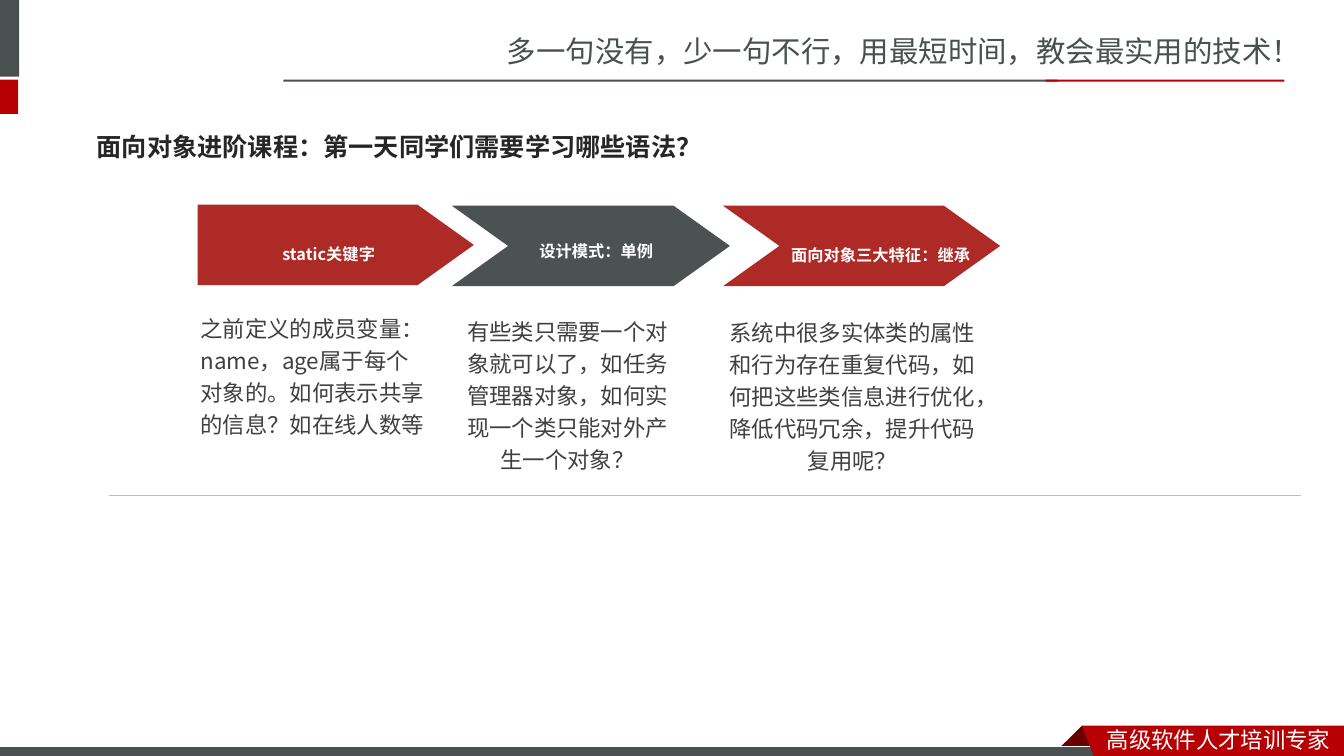
from dataclasses import dataclass

from lxml.etree import SubElement
from pptx import Presentation
from pptx.dml.color import RGBColor as RGB
from pptx.enum.shapes import MSO_CONNECTOR as CONN, MSO_SHAPE as SHAPE
from pptx.enum.text import MSO_ANCHOR as ANCHOR, MSO_AUTO_SIZE as FIT, PP_ALIGN as ALIGN
from pptx.oxml.ns import qn
from pptx.util import Pt

PX = 9144
ARROW_H, ARROW_HEAD = 80, 56


@dataclass(frozen=True)
class Theme:
    """Colours, fonts and type sizes of the slide."""
    slate: str = "49504F"
    red: str = "B60004"
    fold: str = "680000"
    brick: str = "AD2A26"
    graphite: str = "4C5252"
    white: str = "FFFFFF"
    ink: str = "262626"
    body: str = "404040"
    rule: str = "BFBFBF"
    sans: str = "Noto Sans CJK SC"
    content: str = "Noto Sans CJK JP"
    mono: str = "Courier New"
    slogan_pt: int = 21
    label_pt: int = 20
    heading_pt: int = 18
    body_pt: int = 16


T = Theme()


def px(*lengths):
    """Turn px lengths into EMU."""
    return [n * PX for n in lengths]


def paint(sp, fill, line=None):
    """Give a shape a flat fill, an optional outline and no shadow."""
    sp.shadow.inherit = False
    sp.fill.solid()
    sp.fill.fore_color.rgb = RGB.from_string(fill)
    if line:
        sp.line.color.rgb = RGB.from_string(line)
        sp.line.width = Pt(0.75)
    else:
        sp.line.fill.background()


def add_bar(s, box, fill, line=None):
    """Add a plain rectangle."""
    paint(s.shapes.add_shape(SHAPE.RECTANGLE, *px(*box)), fill, line)


def add_outline(s, points, fill):
    """Add a filled polygon through the given points."""
    builder = s.shapes.build_freeform(*points[0], scale=PX)
    builder.add_line_segments(points[1:], close=True)
    paint(builder.convert_to_shape(), fill)


def add_arrow(s, left, top, right, fill, notched=True):
    """Add a process arrow with an optional notch at its tail."""
    mid, bottom = top + ARROW_H // 2, top + ARROW_H
    points = [(left, top), (right - ARROW_HEAD, top), (right, mid),
              (right - ARROW_HEAD, bottom), (left, bottom)]
    if notched:
        points.append((left + ARROW_HEAD, mid))
    add_outline(s, points, fill)


def add_text(s, box, text, size, color, font, bold=None, align=ALIGN.LEFT,
             anchor=ANCHOR.TOP, spacing=None, fit=FIT.SHAPE_TO_FIT_TEXT):
    """Add a one-paragraph text box and return its run."""
    tf = s.shapes.add_textbox(*px(*box)).text_frame
    tf.word_wrap, tf.auto_size, tf.vertical_anchor = True, fit, anchor
    p = tf.paragraphs[0]
    p.text, p.alignment = text, align
    if spacing:
        p.line_spacing = spacing
    r = p.runs[0]
    r.font.size, r.font.bold, r.font.name = Pt(size), bold, font
    r.font.color.rgb = RGB.from_string(color)
    east_asian = T.sans if font == T.mono else font
    SubElement(r.font._element, qn("a:ea")).set("typeface", east_asian)
    return r


def add_label(s, box, text, spacing):
    """Add a bold arrow label with a slightly lowered baseline."""
    r = add_text(s, box, text, T.label_pt, T.white, T.content, True,
                 ALIGN.CENTER, ANCHOR.MIDDLE, spacing)
    r.font._element.set("baseline", "-3000")


def add_rule(s, left, right, y):
    """Add a thin horizontal rule."""
    line = s.shapes.add_connector(CONN.STRAIGHT, *px(left, y, right, y))
    line.line.color.rgb = RGB.from_string(T.rule)
    line.line.width = Pt(0.25)
    SubElement(line._element.spPr, qn("a:effectLst"))


def add_frame(s):
    """Add the slogan header and the footer band."""
    add_text(s, (493, 28, 841, 47), "多一句没有，少一句不行，用最短时间，教会最实用的技术！",
             T.slogan_pt, T.slate, T.sans)
    add_bar(s, (-6, 0, 25, 76), T.slate)
    add_bar(s, (-6, 79, 24, 34), T.red)
    add_bar(s, (281, 79, 768, 2), T.slate)
    add_bar(s, (1037, 79, 237, 2), T.red)
    add_outline(s, [(1073, 720), (1095, 742), (1094, 743), (1052, 743), (1051, 742)], T.fold)
    add_bar(s, (-1, 741, 1100, 12), T.slate, T.white)
    add_outline(s, [(1073, 720), (1333, 720), (1333, 754), (1086, 753)], T.red)
    add_text(s, (1088, 715, 245, 37), "高级软件人才培训专家", T.body_pt, T.white, T.sans)


def add_topics(s):
    """Add the three arrows with their labels and descriptions."""
    add_arrow(s, 196, 203, 470, T.brick, notched=False)
    add_arrow(s, 448, 204, 724, T.graphite)
    add_arrow(s, 717, 204, 992, T.brick)
    labels = [((195, 225, 262, 36), "static关键字", 1.2),
              ((475, 227, 233, 33), "设计模式：单例", None),
              ((724, 226, 299, 36), "面向对象三大特征：继承", 1.2)]
    for box, text, spacing in labels:
        add_label(s, box, text, spacing)
    details = [
        ((189, 302, 245, 138), ALIGN.LEFT,
         "之前定义的成员变量：name，age属于每个对象的。如何表示共享的信息？如在线人数等"),
        ((448, 305, 230, 170), ALIGN.CENTER,
         "有些类只需要一个对象就可以了，如任务管理器对象，如何实现一个类只能对外产生一个对象？"),
        ((708, 306, 275, 170), ALIGN.CENTER,
         "系统中很多实体类的属性和行为存在重复代码，如何把这些类信息进行优化，降低代码冗余，提升代码复用呢？"),
    ]
    for box, align, text in details:
        add_text(s, box, text, T.body_pt, T.body, T.content, align=align, spacing=1.2)


def main():
    """Build and save the slide."""
    prs = Presentation()
    prs.slide_width, prs.slide_height = px(1333, 750)
    s = prs.slides.add_slide(prs.slide_layouts[6])
    add_frame(s)
    add_topics(s)
    add_rule(s, 108, 1290, 491)
    add_text(s, (86, 117, 631, 57), "面向对象进阶课程：第一天同学们需要学习哪些语法？",
             T.heading_pt, T.ink, T.mono, True, anchor=ANCHOR.MIDDLE, fit=FIT.NONE)
    prs.save("out.pptx")


if __name__ == "__main__":
    main()
